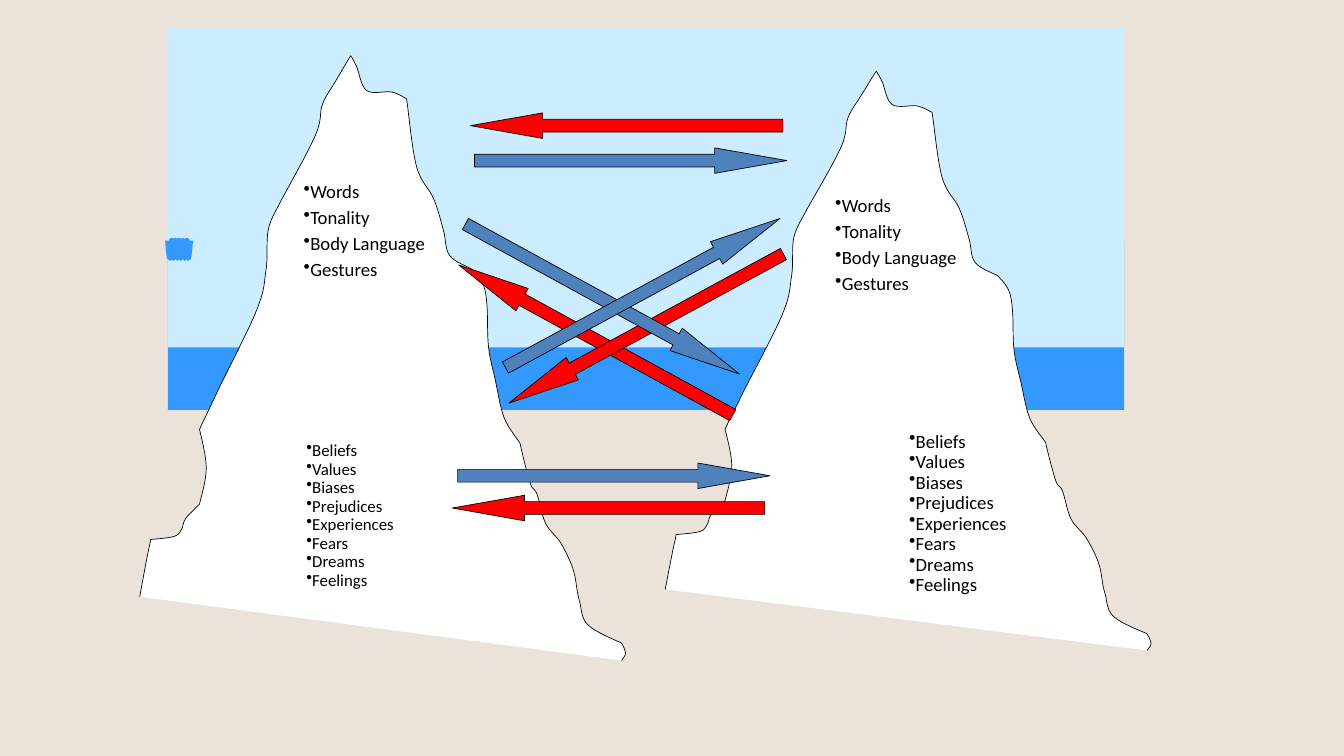
from lxml import etree
from pptx import Presentation
from pptx import util as u
from pptx.dml.color import RGBColor
from pptx.enum import shapes, text
from pptx.oxml.ns import qn

RED, BLUE, WHITE, BLACK = "FF0000", "4F81BD", "FFFFFF", "000000"
SAND, SKY, SEA = "EBE3DA", "CCECFF", "3399FF"
VISIBLE = ["Words", "Tonality", "Body Language", "Gestures"]
HIDDEN = ["Beliefs", "Values", "Biases", "Prejudices",
          "Experiences", "Fears", "Dreams", "Feelings"]

ICEBERG_START = (0, 805)
ICEBERG_EDGES = {
    "left toe": [(13, 736), (16, 720)],
    "left ledge": [(52, 715), (62, 705), (68, 689), (89, 667)],
    "left waist": [(99, 613), (89, 556)],
    "left flank": [(114, 503), (175, 376), (188, 318), (191, 260), (209, 218)],
    "left shoulder": [(262, 117), (272, 72), (292, 37), (314, 0)],
    "summit": [(323, 17), (338, 52), (375, 54), (397, 64)],
    "right shoulder": [(412, 165), (437, 212), (452, 260), (461, 297), (495, 318)],
    "right flank": [(511, 340), (517, 376), (519, 433), (529, 482), (542, 538), (566, 577)],
    "right foot": [(581, 636), (591, 652), (604, 696), (627, 726),
                   (646, 768), (654, 810), (667, 847), (717, 874)],
    "right toe": [(723, 889), (717, 900)],
}

EXCHANGES = {
    "hidden to hidden": {"tilt": 0, RED: (6.73, 7.37), BLUE: (6.81, 6.89)},
    "left visible to right hidden": {"tilt": 28.7, RED: (6.54, 4.87), BLUE: (6.64, 4.26)},
    "left hidden to right visible": {"tilt": -28.5, RED: (7.29, 4.7), BLUE: (7.24, 4.17)},
    "visible to visible": {"tilt": 0, RED: (7, 1.68), BLUE: (7.06, 2.2)},
}
ARROW_KINDS = {RED: shapes.MSO_SHAPE.LEFT_ARROW, BLUE: shapes.MSO_SHAPE.RIGHT_ARROW}


def color(value):
    return RGBColor.from_string(value)


def inches(*values):
    return [u.Cm(value * 2.54) for value in values]


def step(point, start, end):
    return tuple(p + (e - s) / 6 for p, s, e in zip(point, start, end))


def smooth(points):
    padded = [points[0], *points, points[-1]]
    for before, start, end, after in zip(padded, padded[1:], padded[2:], padded[3:]):
        yield step(start, before, end), step(end, after, start), end


def iceberg_curves():
    corner = ICEBERG_START
    for edge in ICEBERG_EDGES.values():
        yield from smooth([corner, *edge])
        corner = edge[-1]


def scribble_points(strokes=12, spacing=2.75, top=20, bottom=46):
    return [(i * spacing, bottom if i % 2 else top) for i in range(strokes + 1)]


class Painter:
    font = "Calibri"
    ink = BLACK
    outline = 0.75

    def __init__(self, slide):
        self.slide = slide

    def background(self, fill):
        self.slide.background.fill.solid()
        self.slide.background.fill.fore_color.rgb = color(fill)

    def paint(self, shape, fill=None, line=None, width=outline):
        shape.shadow.inherit = False
        if fill:
            shape.fill.solid()
            shape.fill.fore_color.rgb = color(fill)
        else:
            shape.fill.background()
        if line:
            shape.line.color.rgb = color(line)
            shape.line.width = u.Pt(width)
        else:
            shape.line.fill.background()

    def band(self, top, height, fill):
        shape = self.slide.shapes.add_shape(
            shapes.MSO_SHAPE.RECTANGLE, *inches(2.5, top, 14.23, height))
        self.paint(shape, fill)

    def outline_shape(self, start, curves, left, top, stretch=1, **style):
        unit, = inches(0.01)
        builder = self.slide.shapes.build_freeform(*start, scale=(unit, unit * stretch))
        builder.add_line_segments([point for curve in curves for point in curve], close=False)
        shape = builder.convert_to_shape(*inches(left, top))
        path = next(shape._element.iter(qn("a:path")))
        segments = path.findall(qn("a:lnTo"))
        for first in range(0, len(segments), 3):
            bezier = etree.SubElement(path, qn("a:cubicBezTo"))
            for segment in segments[first:first + 3]:
                bezier.append(segment[0])
                path.remove(segment)
        self.paint(shape, **style)

    def iceberg(self, left, top, height):
        self.outline_shape(ICEBERG_START, iceberg_curves(), left, top,
                           stretch=height / 9, fill=WHITE, line=self.ink)

    def scribble(self, left, top):
        points = scribble_points()
        self.outline_shape(points[0], smooth(points), left, top, line=SEA, width=6)

    def arrow(self, left, top, fill, tilt):
        shape = self.slide.shapes.add_shape(
            ARROW_KINDS[fill], *inches(left, top, 4.65, 0.38))
        shape.adjustments[0] = 0.5
        shape.adjustments[1] = 2.83
        shape.rotation = tilt
        self.paint(shape, fill, self.ink)

    def bullets(self, items, left, top, width, height, size=20, spacing=1):
        box = self.slide.shapes.add_textbox(*inches(left, top, width, height))
        frame = box.text_frame
        frame.word_wrap = True
        frame.vertical_anchor = text.MSO_ANCHOR.TOP
        frame.text = "\n".join(items)
        for index, para in enumerate(frame.paragraphs):
            bullet = etree.SubElement(para._p.get_or_add_pPr(), qn("a:buChar"))
            bullet.set("char", "•")
            para.line_spacing = spacing
            para.space_before = u.Pt(size * 0.2 if index else 0)
            for span in para.runs:
                span.font.name = self.font
                span.font.size = u.Pt(size)
                span.font.color.rgb = color(self.ink)

    def visible_traits(self, left, top):
        self.bullets(VISIBLE, left, top, 3.01, 2.12)

    def hidden_traits(self, left, top, size):
        self.bullets(HIDDEN, left, top, 3.83, 4, size, spacing=0.75)


def main():
    deck = Presentation()
    deck.slide_width, deck.slide_height = inches(20, 11.25)
    page = Painter(deck.slides.add_slide(deck.slide_layouts[6]))
    page.background(SAND)
    page.band(3.58, 2.52, SEA)
    page.band(0.42, 4.75, SKY)

    page.iceberg(9.9, 1.06, height=8.62)
    page.hidden_traits(13.43, 6.42, size=20)
    page.iceberg(2.08, 0.83, height=9)
    page.visible_traits(4.42, 2.62)
    page.scribble(2.5, 3.38)
    page.hidden_traits(4.46, 6.57, size=18)

    for fill in (RED, BLUE):
        for exchange in EXCHANGES.values():
            page.arrow(*exchange[fill], fill, exchange["tilt"])
    page.visible_traits(12.33, 2.83)
    deck.save("out.pptx")


if __name__ == "__main__":
    main()
